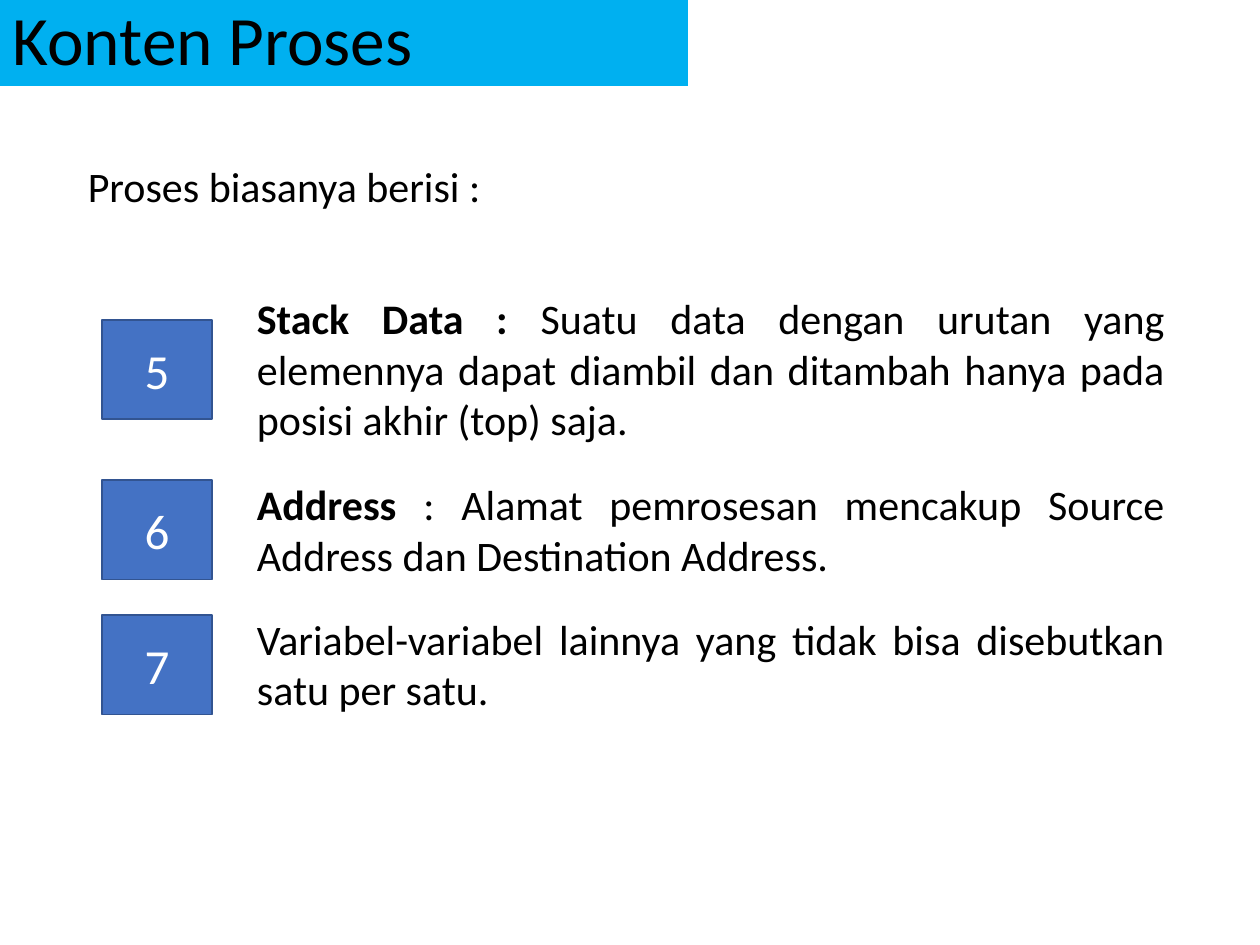
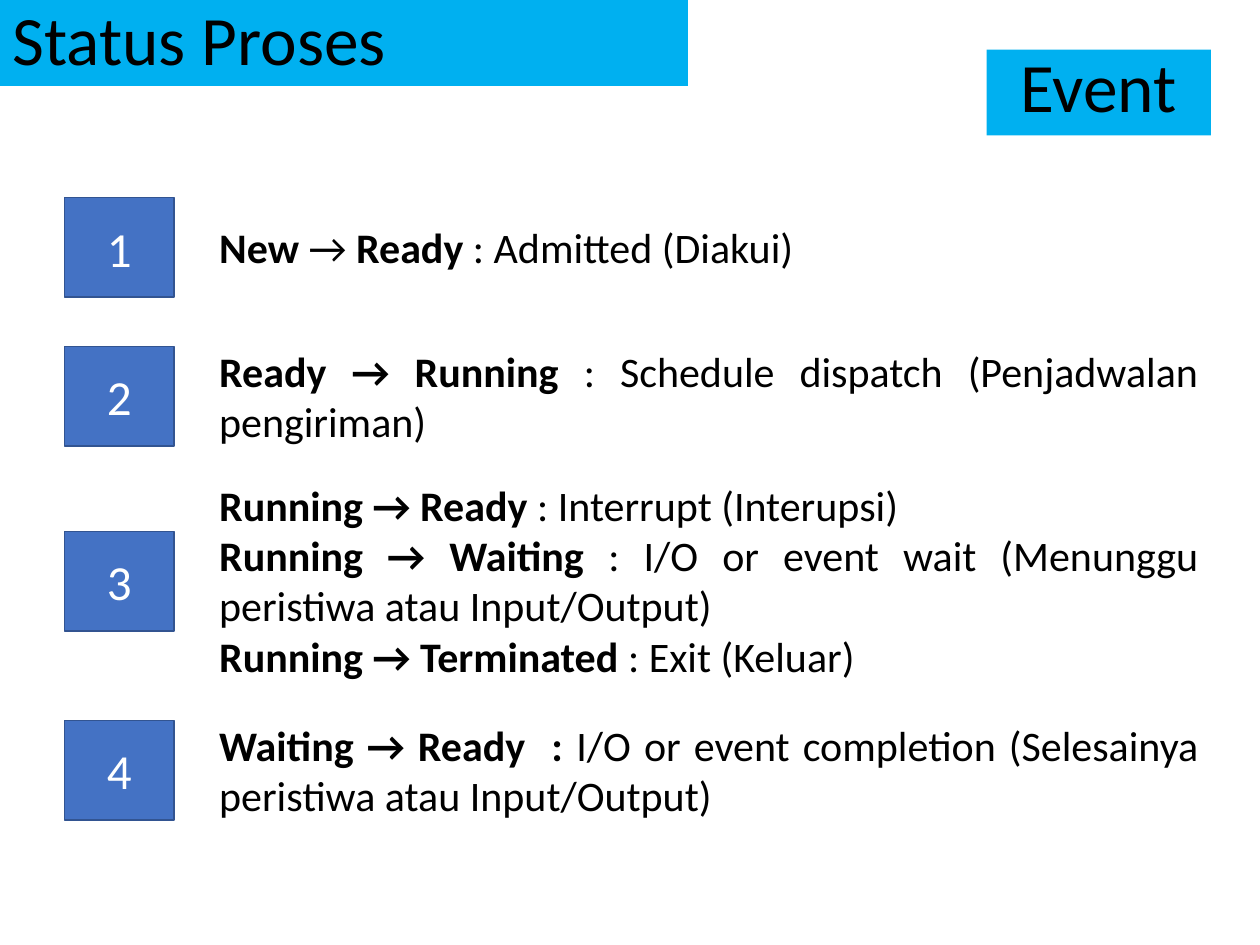
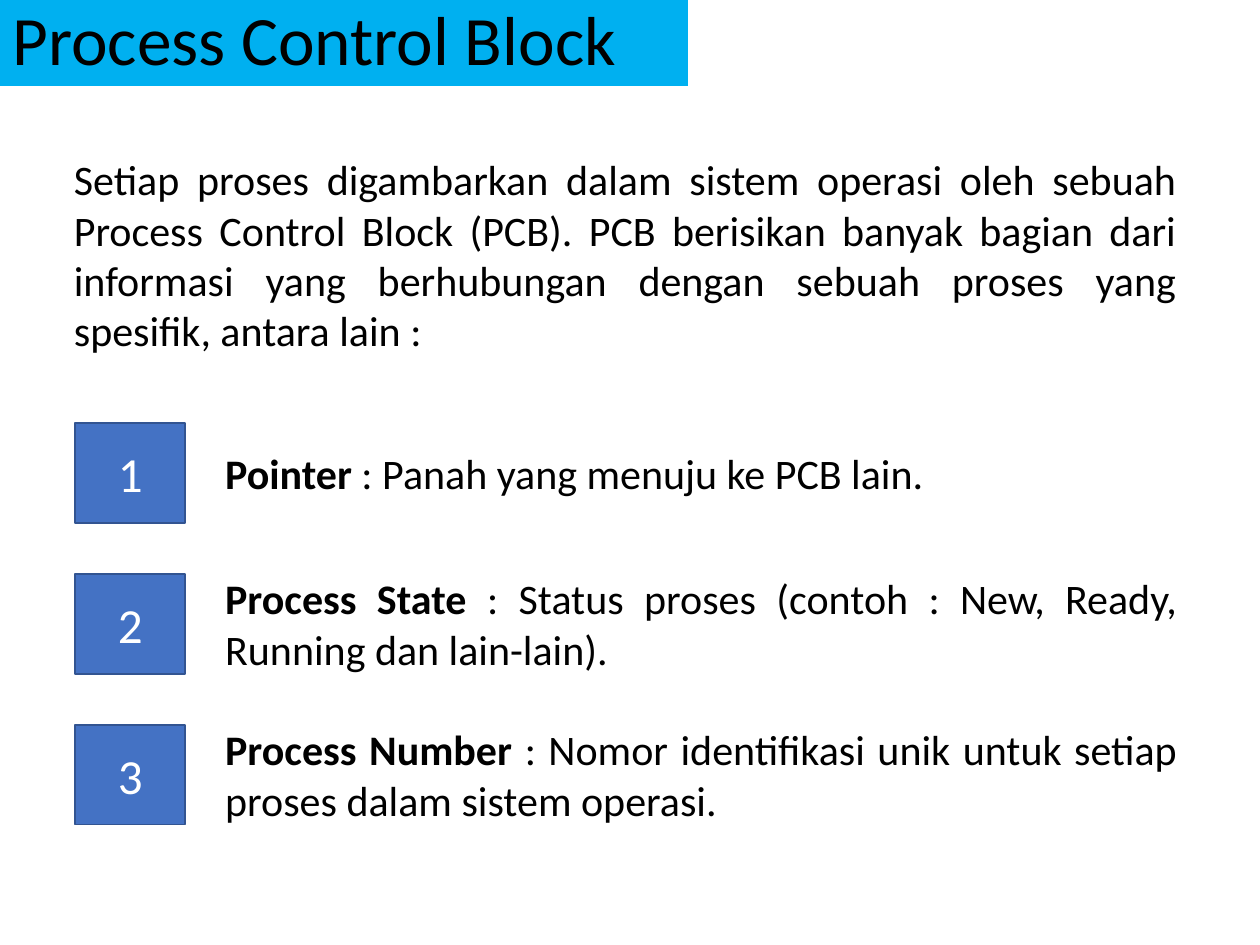
from pptx import Presentation
from pptx.dml.color import RGBColor
from pptx.enum.shapes import MSO_SHAPE
from pptx.enum.text import MSO_ANCHOR, MSO_AUTO_SIZE, PP_ALIGN
from pptx.util import Cm, Pt

RECTANGLE = MSO_SHAPE.RECTANGLE
MIDDLE = MSO_ANCHOR.MIDDLE
NO_FIT, GROW = MSO_AUTO_SIZE.NONE, MSO_AUTO_SIZE.SHAPE_TO_FIT_TEXT
LEFT, CENTER, JUSTIFY = PP_ALIGN.LEFT, PP_ALIGN.CENTER, PP_ALIGN.JUSTIFY

FONT = "Calibri"
BLACK, WHITE = "000000", "FFFFFF"
BAND, TILE, TILE_LINE = "00B0F0", "4472C4", "325491"
BAND_HEIGHT = 1.73
TILE_WIDTH, TILE_HEIGHT = 2.21, 2.01
LINE_HEIGHT, INSETS = 1.03, 0.25

# Intro: left, middle, width, lines, text. Row: middle, lines, paragraphs.
# A paragraph lists its parts, bold and regular in turn.
SLIDES = [
    {
        "title": "Konten Proses",
        "intro": (1.52, 3.76, 22.2, 1, "Proses biasanya berisi :"),
        "first_number": 5, "tile_left": 2.06, "text_left": 4.93, "text_width": 18.8,
        "rows": [
            (7.45, 3, [["Stack Data : ", "Suatu data dengan urutan yang elemennya dapat "
                        "diambil dan ditambah hanya pada posisi akhir (top) saja."]]),
            (10.68, 2, [["Address ", ": Alamat pemrosesan mencakup Source Address dan "
                         "Destination Address."]]),
            (13.4, 2, [["", "Variabel-variabel lainnya yang tidak bisa disebutkan "
                        "satu per satu."]]),
        ],
    },
    {
        "title": "Status Proses",
        "label": "Event",
        "first_number": 1, "tile_left": 1.3, "text_left": 4.17, "text_width": 20.24,
        "rows": [
            (4.99, 1, [["New ", "→ ", "Ready ", ": Admitted (Diakui)"]]),
            (7.99, 2, [["Ready → Running ", ": Schedule dispatch (Penjadwalan pengiriman)"]]),
            (11.72, 4, [
                ["Running → Ready ", ": Interrupt (Interupsi)"],
                ["Running → Waiting ", ": I/O or event wait (Menunggu peristiwa atau "
                 "Input/Output)"],
                ["Running → Terminated", " : Exit (Keluar)"],
            ]),
            (15.53, 2, [["Waiting → Ready  : ", "I/O or event completion (Selesainya "
                         "peristiwa atau Input/Output)"]]),
        ],
    },
    {
        "title": "Process Control Block",
        "intro": (1.24, 5.16, 22.73, 4,
                  "Setiap proses digambarkan dalam sistem operasi oleh sebuah Process "
                  "Control Block (PCB). PCB berisikan banyak bagian dari informasi yang "
                  "berhubungan dengan sebuah proses yang spesifik, antara lain :"),
        "first_number": 1, "tile_left": 1.52, "text_left": 4.29, "text_width": 19.69,
        "rows": [
            (9.54, 1, [["Pointer ", ": Panah yang menuju ke PCB lain."]]),
            (12.58, 2, [["Process State ", ": Status proses (contoh : New, Ready, Running "
                         "dan lain-lain)."]]),
            (15.62, 2, [["Process Number ", ": Nomor identifikasi unik untuk setiap proses "
                         "dalam sistem operasi."]]),
        ],
    },
]


def color(hex_string):
    return RGBColor.from_string(hex_string)


def add_text(slide, left, middle, width, lines, paragraphs):
    """Add justified text centred on the height given by middle."""
    height = INSETS + LINE_HEIGHT * lines
    box = slide.shapes.add_textbox(Cm(left), Cm(middle - height / 2), Cm(width), Cm(height))
    frame = box.text_frame
    frame.word_wrap = True
    frame.auto_size = GROW
    for number, parts in enumerate(paragraphs):
        paragraph = frame.add_paragraph() if number else frame.paragraphs[0]
        paragraph.alignment = JUSTIFY
        for position, part in enumerate(parts):
            if part:
                run = paragraph.add_run()
                run.text = part
                run.font.name = FONT
                run.font.size = Pt(24)
                run.font.bold = position % 2 == 0
                run.font.color.rgb = color(BLACK)


presentation = Presentation()
presentation.slide_width, presentation.slide_height = Cm(25.4), Cm(19.05)
title_only = presentation.slide_layouts[5]

for content in SLIDES:
    slide = presentation.slides.add_slide(title_only)
    title = slide.shapes.title
    title.left, title.top, title.width, title.height = 0, 0, Cm(13.87), Cm(BAND_HEIGHT)
    bands = [(title, content["title"], LEFT, 0.9)]
    if "label" in content:
        label = slide.shapes.add_shape(RECTANGLE, Cm(19.89), Cm(1), Cm(4.52), Cm(BAND_HEIGHT))
        label.shadow.inherit = False
        label.line.fill.background()
        bands.append((label, content["label"], CENTER, 0.8))

    for band, text, alignment, spacing in bands:
        band.fill.solid()
        band.fill.fore_color.rgb = color(BAND)
        frame = band.text_frame
        frame.text = text
        frame.auto_size = NO_FIT
        frame.vertical_anchor = MIDDLE
        paragraph = frame.paragraphs[0]
        paragraph.alignment = alignment
        paragraph.line_spacing = spacing
        font = paragraph.runs[0].font
        font.name, font.size = FONT, Pt(39.6)
        font.color.rgb = color(BLACK)

    if "intro" in content:
        left, middle, width, lines, text = content["intro"]
        add_text(slide, left, middle, width, lines, [["", text]])

    for number, (middle, lines, paragraphs) in enumerate(content["rows"], content["first_number"]):
        add_text(slide, content["text_left"], middle, content["text_width"], lines, paragraphs)
        tile = slide.shapes.add_shape(RECTANGLE, Cm(content["tile_left"]),
                                      Cm(middle - TILE_HEIGHT / 2),
                                      Cm(TILE_WIDTH), Cm(TILE_HEIGHT))
        tile.shadow.inherit = False
        tile.fill.solid()
        tile.fill.fore_color.rgb = color(TILE)
        tile.line.color.rgb = color(TILE_LINE)
        tile.line.width = Pt(1)
        tile.text_frame.text = str(number)
        tile.text_frame.vertical_anchor = MIDDLE
        paragraph = tile.text_frame.paragraphs[0]
        paragraph.alignment = CENTER
        font = paragraph.runs[0].font
        font.name, font.size = FONT, Pt(28)
        font.color.rgb = color(WHITE)

presentation.save("out.pptx")
